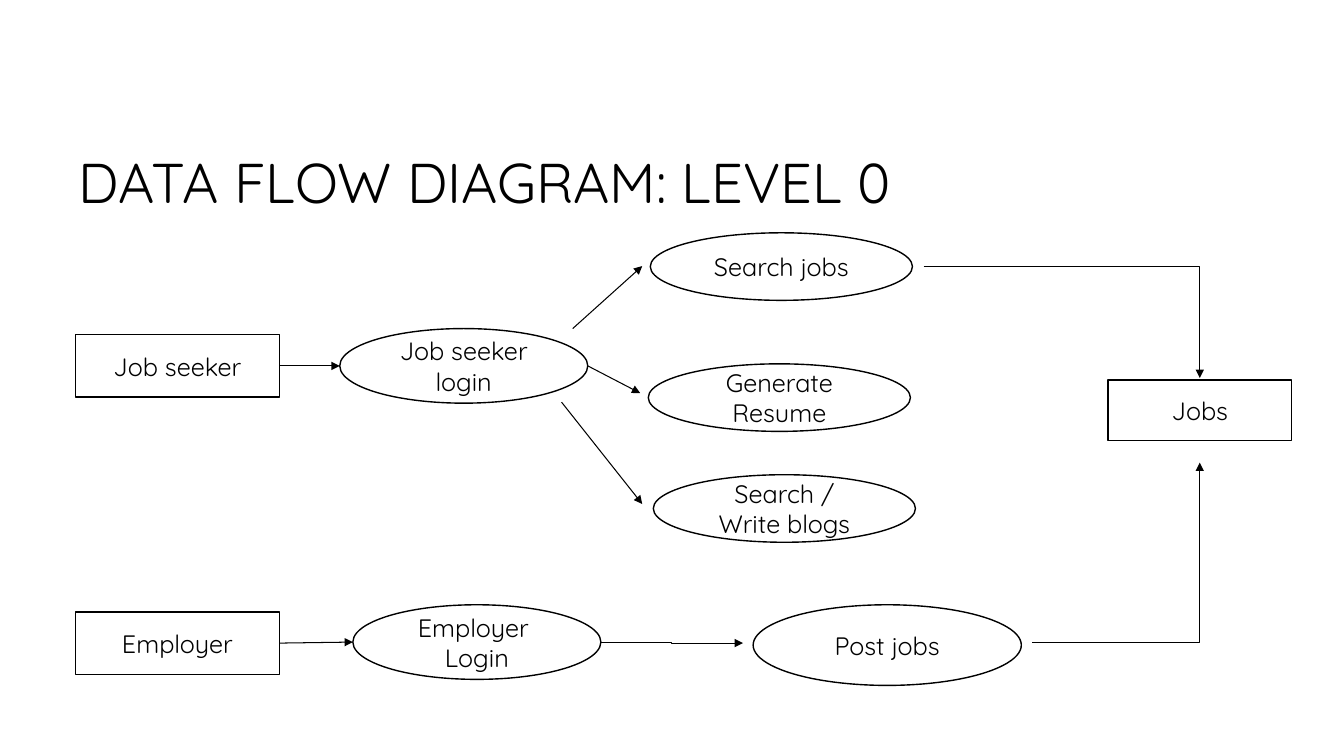
from dataclasses import dataclass

from pptx import Presentation
from pptx.dml.color import RGBColor
from pptx.enum.shapes import MSO_CONNECTOR, MSO_SHAPE
from pptx.enum.text import MSO_ANCHOR, PP_ALIGN
from pptx.oxml.ns import qn
from pptx.util import Inches, Pt
from lxml.etree import SubElement


@dataclass(frozen=True)
class Theme:
    font: str = "Quicksand"
    ink: RGBColor = RGBColor(0, 0, 0)
    paper: RGBColor = RGBColor(255, 255, 255)
    title: float = 40
    label: float = 18
    outline: float = 1
    arrow: float = 0.75


THEME = Theme()
COLS, ROWS = 13.33, 7.5  # grid of one-inch columns and rows
ENTITY = (2.02, 0.62)
LOGIN = (2.46, 0.74)
TASK = (2.6, 0.67)
POST = (2.66, 0.8)
STORE = (1.82, 0.6)


def write(sp, text, size=THEME.label, align=PP_ALIGN.CENTER, spacing=None):
    """Fill a shape with text, one paragraph for each line."""
    tf = sp.text_frame
    tf.word_wrap = True
    tf.vertical_anchor = MSO_ANCHOR.MIDDLE
    for i, line in enumerate(text.split("\n")):
        p = tf.add_paragraph() if i else tf.paragraphs[0]
        p.alignment = align
        p.line_spacing = spacing
        r = p.add_run()
        r.text = line
        r.font.name = THEME.font
        r.font.size = Pt(size)
        r.font.color.rgb = THEME.ink


def add_node(s, box, kind, text, at, size):
    x, y = box[0] + at[0], box[1] + at[1]
    sp = s.shapes.add_shape(kind, *map(Inches, (x, y, *size)))
    sp.shadow.inherit = False
    sp.fill.solid()
    sp.fill.fore_color.rgb = THEME.paper
    sp.line.color.rgb = THEME.ink
    sp.line.width = Pt(THEME.outline)
    write(sp, text)


def add_arrow(s, box, start, end, bend=None):
    """Draw an arrow; bend names the elbow preset, if there is one."""
    points = [box[i] + point[i] for point in (start, end) for i in (0, 1)]
    kind = MSO_CONNECTOR.ELBOW if bend else MSO_CONNECTOR.STRAIGHT
    c = s.shapes.add_connector(kind, *map(Inches, points))
    c.line.color.rgb = THEME.ink
    c.line.width = Pt(THEME.arrow)
    spPr = c._element.spPr
    if bend:
        spPr.find(qn("a:prstGeom")).set("prst", bend)
    SubElement(spPr.find(qn("a:ln")), qn("a:tailEnd"), type="triangle")
    SubElement(spPr, qn("a:effectLst"))


def title(s, box):
    sp = s.shapes.add_textbox(*map(Inches, box))
    write(sp, "DATA FLOW DIAGRAM: LEVEL 0", size=THEME.title,
          align=PP_ALIGN.LEFT, spacing=0.9)


def seeker_lane(s, box):
    add_node(s, box, MSO_SHAPE.RECTANGLE, "Job seeker", (0, 1.01), ENTITY)
    add_node(s, box, MSO_SHAPE.OVAL, "Job seeker login", (2.62, 0.95), LOGIN)
    add_arrow(s, box, (2.02, 1.32), (2.62, 1.32))
    tasks = [
        ("Search jobs", (5.7, 0), (4.93, 0.95), (5.62, 0.33)),
        ("Generate Resume", (5.68, 1.3), (5.08, 1.32), (5.6, 1.59)),
        ("Search / Write blogs", (5.73, 2.4), (4.82, 1.68), (5.62, 2.69)),
    ]
    for text, at, start, end in tasks:
        add_node(s, box, MSO_SHAPE.OVAL, text, at, TASK)
        add_arrow(s, box, start, end)


def employer_lane(s, box):
    add_node(s, box, MSO_SHAPE.RECTANGLE, "Employer", (0, 0.07), ENTITY)
    add_node(s, box, MSO_SHAPE.OVAL, "Employer \nLogin", (2.75, 0), LOGIN)
    add_node(s, box, MSO_SHAPE.OVAL, "Post jobs", (6.72, 0), POST)
    add_arrow(s, box, (2.02, 0.38), (2.75, 0.37))
    add_arrow(s, box, (5.21, 0.37), (6.62, 0.38), bend="bentConnector3")


def jobs_store(s, box):
    """Place the Jobs store and the flows that reach it from both lanes."""
    w, h = box[2:]
    add_node(s, box, MSO_SHAPE.RECTANGLE, "Jobs", (w - STORE[0], 1.13), STORE)
    middle = w - STORE[0] / 2
    add_arrow(s, box, (0, 0), (middle, 1.11), bend="bentConnector2")
    add_arrow(s, box, (1.08, h), (middle, 1.95), bend="bentConnector2")


def main():
    prs = Presentation()
    prs.slide_width, prs.slide_height = Inches(COLS), Inches(ROWS)
    s = prs.slides.add_slide(prs.slide_layouts[6])
    title(s, (0.68, 1.13, 9.78, 1.41))
    seeker_lane(s, (0.75, 2.31, 8.33, 3.07))
    employer_lane(s, (0.75, 6, 9.38, 0.8))
    jobs_store(s, (9.16, 2.64, 3.65, 3.73))
    prs.save("out.pptx")


if __name__ == "__main__":
    main()
